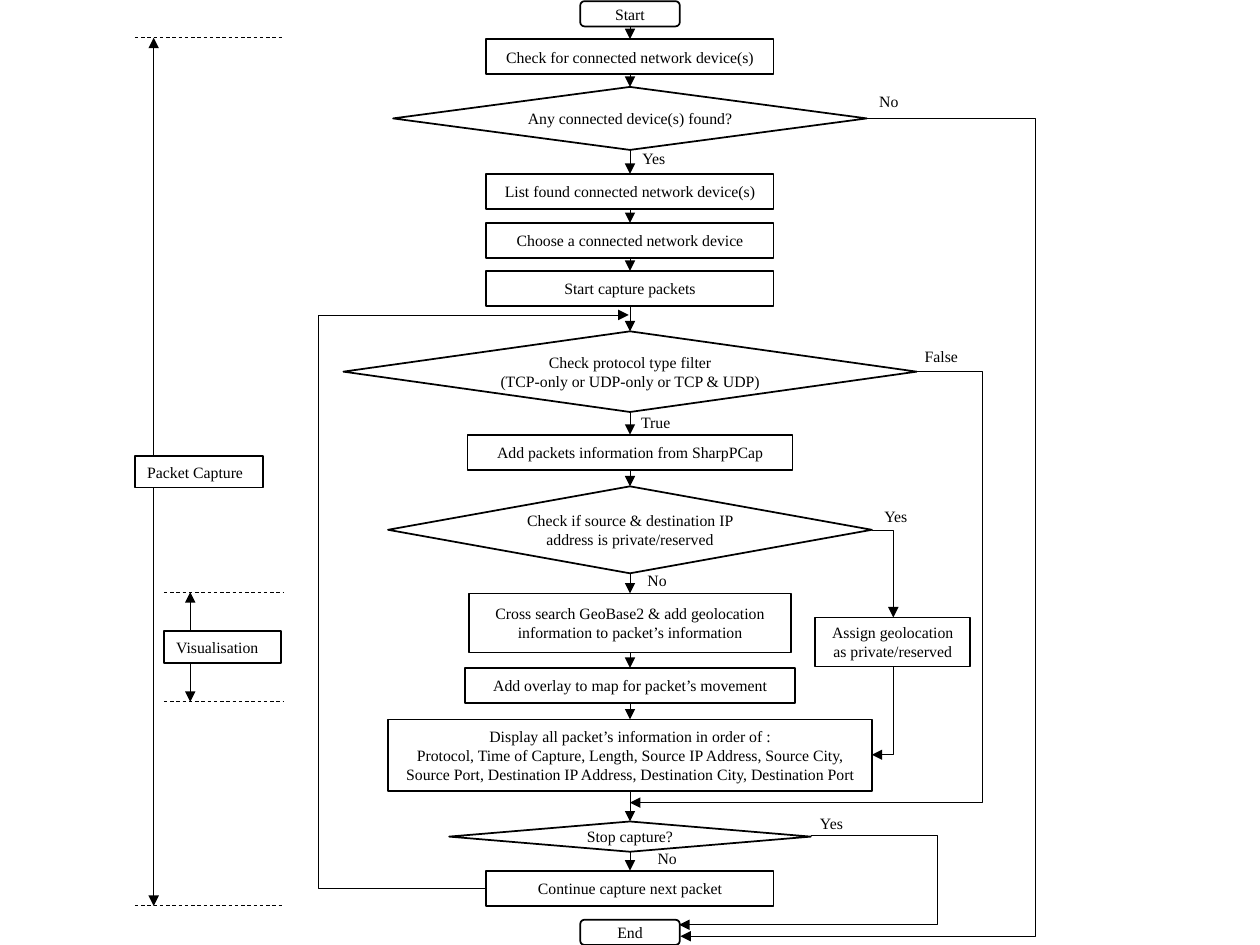
from itertools import pairwise
from pptx import Presentation
from pptx.dml.color import RGBColor
from pptx.enum.dml import MSO_LINE as Dash
from pptx.enum.shapes import MSO_CONNECTOR as Conn, MSO_SHAPE as Kind
from pptx.enum.text import MSO_ANCHOR as Anchor, MSO_AUTO_SIZE as Auto, PP_ALIGN as Align
from pptx.oxml.ns import qn
from pptx.util import Inches, Pt
from lxml.etree import SubElement

BLACK = RGBColor(0, 0, 0)
WHITE = RGBColor(255, 255, 255)
COLS, ROWS = 10, 7.5
MID = 5


def write(frame, text, size=9, font="Times New Roman", color=BLACK,
          align=Align.CENTER, anchor=Anchor.MIDDLE, pad=0.1, fit=Auto.NONE):
    frame.word_wrap = True
    frame.auto_size = fit
    frame.vertical_anchor = anchor
    frame.margin_left = frame.margin_right = Inches(pad)
    for i, line in enumerate(text.split("\n")):
        para = frame.paragraphs[0] if i == 0 else frame.add_paragraph()
        para.alignment = align
        run = para.add_run()
        run.text = line
        run.font.size = Pt(size)
        run.font.name = font
        run.font.color.rgb = color


class Chart:
    def __init__(self, deck):
        self.slide = deck.slides.add_slide(deck.slide_layouts[6])
        self.shapes = self.slide.shapes
        self.col = deck.slide_width / COLS
        self.row = deck.slide_height / ROWS

    def scale(self, *spots):
        units = (self.col, self.row)
        return [round(n * units[i % 2]) for i, n in enumerate(spots)]

    def box(self, kind, left, top, width, height, text, **form):
        shape = self.shapes.add_shape(kind, *self.scale(left, top, width, height))
        shape.shadow.inherit = False
        shape.fill.solid()
        shape.fill.fore_color.rgb = WHITE
        shape.line.color.rgb = BLACK
        shape.line.width = Pt(1)
        write(shape.text_frame, text, **form)

    def label(self, left, top, width, text):
        area = self.shapes.add_textbox(*self.scale(left, top, width, 0.25))
        write(area.text_frame, text, align=Align.LEFT, anchor=Anchor.TOP, fit=Auto.SHAPE_TO_FIT_TEXT)

    def line(self, x1, y1, x2, y2, kind=Conn.STRAIGHT, ends=("tailEnd",), dash=None):
        link = self.shapes.add_connector(kind, *self.scale(x1, y1, x2, y2))
        link.line.color.rgb = BLACK
        link.line.width = Pt(0.5)
        if dash:
            link.line.dash_style = dash
        stroke = link.line._get_or_add_ln()
        for end in ends:
            SubElement(stroke, qn("a:" + end), type="triangle")
        props = link._element.spPr
        SubElement(props, qn("a:effectLst"))
        return props.find(qn("a:prstGeom"))

    def bend(self, x1, y1, x2, y2, turn):
        shape = self.line(x1, y1, x2, y2, Conn.ELBOW)
        if turn == x2:
            shape.set("prst", "bentConnector2")
            return
        guides = shape.find(qn("a:avLst"))
        if guides is None:
            guides = SubElement(shape, qn("a:avLst"))
        share = round((turn - x1) / (x2 - x1) * 100000)
        SubElement(guides, qn("a:gd"), name="adj1", fmla=f"val {share}")


deck = Presentation()
deck.slide_width, deck.slide_height = Inches(COLS), Inches(ROWS)
flow = Chart(deck)

CAP, STEP, TEST = Kind.ROUNDED_RECTANGLE, Kind.RECTANGLE, Kind.DIAMOND
steps = [
    (CAP, 0.01, 0.79, 0.2, "Start"),
    (STEP, 0.31, 2.28, 0.28, "Check for connected network device(s)"),
    (TEST, 0.69, 3.76, 0.5, "Any connected device(s) found?"),
    (STEP, 1.38, 2.28, 0.28, "List found connected network device(s)"),
    (STEP, 1.77, 2.28, 0.28, "Choose a connected network device"),
    (STEP, 2.15, 2.28, 0.28, "Start capture packets"),
    (TEST, 2.63, 4.55, 0.64, "Check protocol type filter\n(TCP-only or UDP-only or TCP & UDP)"),
    (STEP, 3.45, 2.58, 0.28, "Add packets information from SharpPCap"),
    (TEST, 3.86, 3.84, 0.69, "Check if source & destination IP address is private/reserved"),
    (STEP, 4.71, 2.56, 0.47, "Cross search GeoBase2 & add geolocation information to packet’s information"),
    (STEP, 5.3, 2.62, 0.28, "Add overlay to map for packet’s movement"),
    (STEP, 5.71, 3.84, 0.57, "Display all packet’s information in order of :\n"
     "Protocol, Time of Capture, Length, Source IP Address, Source City, "
     "Source Port, Destination IP Address, Destination City, Destination Port"),
    (TEST, 6.52, 2.87, 0.24, "Stop capture?"),
    (STEP, 6.91, 2.28, 0.28, "Continue capture next packet"),
    (CAP, 7.3, 0.79, 0.2, "End"),
]
for kind, top, width, height, text in steps:
    flow.box(kind, MID - width / 2, top, width, height, text, pad=0.05 if kind == TEST else 0.1)
for (_, top, _, height, _), (_, below, *_) in pairwise(steps[:-1]):
    flow.line(MID, top + height, MID, below)

for spot in [
    (5, 1.13, 0.65, "Yes"), (6.88, 0.68, 0.53, "No"), (4.99, 3.23, 0.45, "True"),
    (5.04, 4.48, 0.5, "No"), (5.12, 6.69, 0.71, "No"), (7.24, 2.7, 0.71, "False"),
    (6.92, 3.97, 0.48, "Yes"), (6.41, 6.41, 0.64, "Yes"),
]:
    flow.label(*spot)

flow.box(STEP, 6.47, 4.9, 1.23, 0.39, "Assign geolocation as private/reserved")
for route in [
    (6.44, 6.63, 5.39, 7.34, 7.44), (6.88, 0.94, 5.4, 7.43, 8.22),
    (6.92, 4.21, 7.09, 4.9, 7.09), (7.28, 2.95, 5, 6.37, 7.8),
    (3.86, 7.05, 4.99, 2.5, 2.53), (7.09, 5.29, 6.92, 5.99, 7.09),
]:
    flow.bend(*route)

phases = [
    (1.07, 0.3, 7.19, 1.22, 3.62, 1.02, "Packet Capture"),
    (1.3, 4.7, 5.57, 1.51, 5.01, 0.93, "Visualisation"),
]
for left, top, foot, axis, mark, width, name in phases:
    for edge in (top, foot):
        flow.line(left, edge, 2.25, edge, ends=(), dash=Dash.DASH)
    flow.line(axis, top, axis, foot, ends=("headEnd", "tailEnd"))
    flow.box(STEP, left, mark, width, 0.25, name, align=Align.LEFT,
             anchor=Anchor.TOP, fit=Auto.SHAPE_TO_FIT_TEXT)

deck.save("out.pptx")
